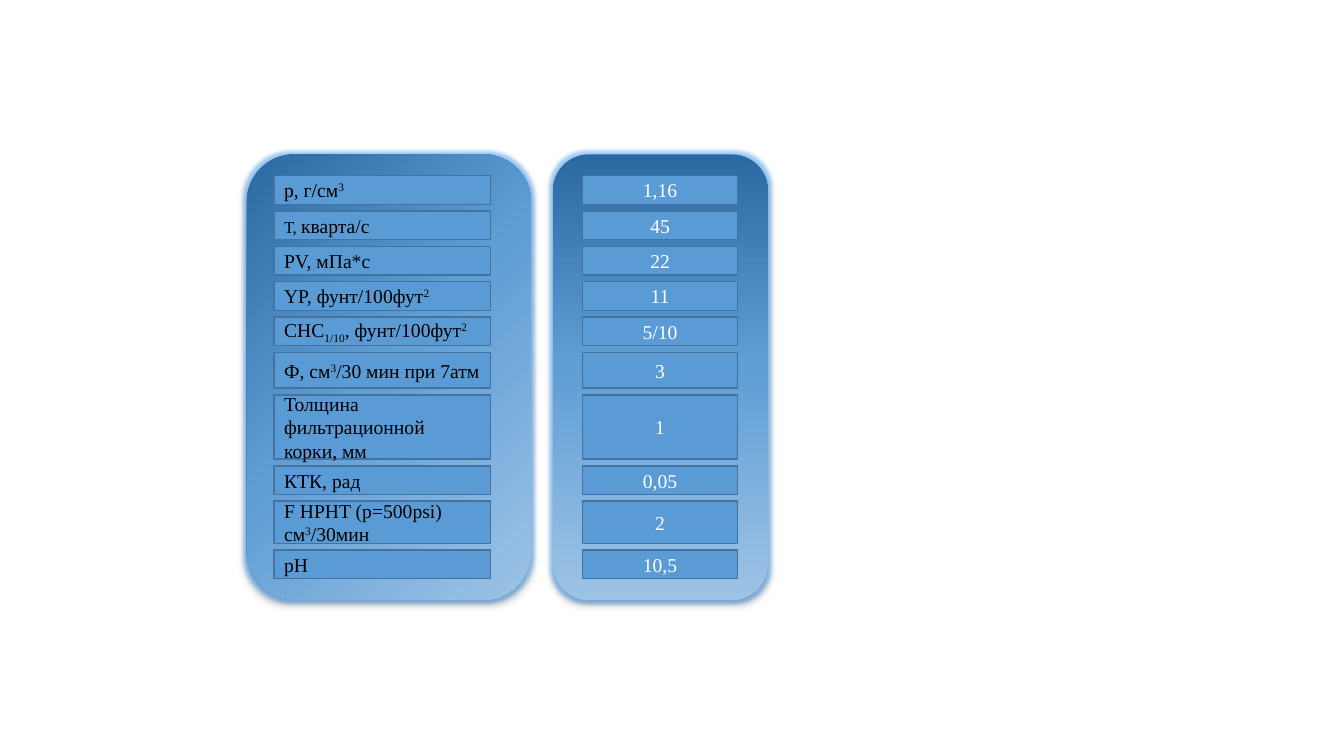
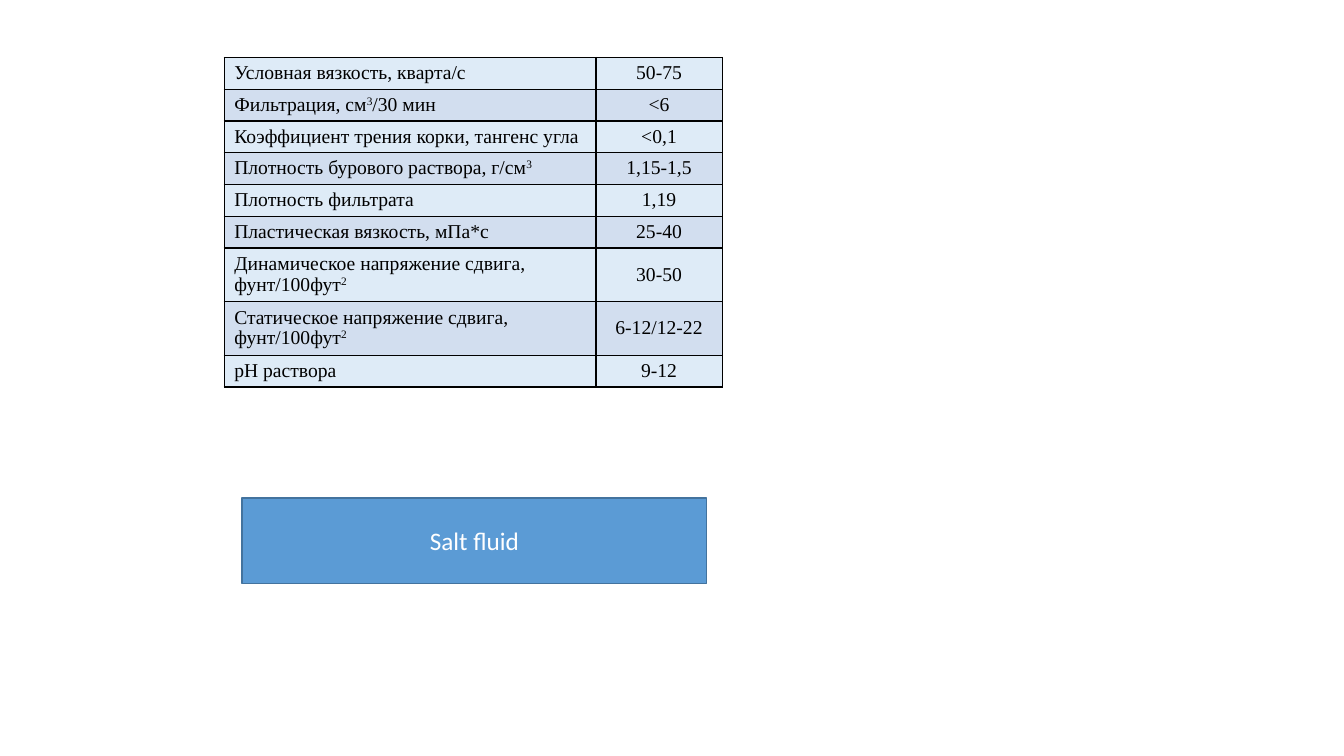
from lxml.etree import SubElement
from pptx import Presentation
from pptx.dml.color import RGBColor
from pptx.enum.shapes import MSO_SHAPE
from pptx.enum.text import MSO_ANCHOR, PP_ALIGN
from pptx.oxml import parse_xml
from pptx.oxml.ns import nsdecls, qn
from pptx.util import Cm, Pt

COLORS = {
    "black": "000000",
    "white": "FFFFFF",
    "box": "5B9BD5",
    "outline": "43739E",
    "panel dark": "2A69A2",
    "panel mid": "609ED6",
    "panel light": "9DC3E6",
    "row light": "DEEBF7",
    "row dark": "D2DEEF",
}
SERIF = "Times New Roman"
# A text piece may start with a mark: raised, lowered or small
BASELINES = {"^": "30000", "_": "-25000"}
SMALL = "~"
SMALL_SIZE = 12


def color(name):
    return RGBColor.from_string(COLORS[name])


def write_text(frame, text, font=SERIF, size=14, ink="black",
               align=PP_ALIGN.LEFT, spacing=None):
    """Write one paragraph; "|" separates its pieces."""
    frame.word_wrap = True
    para = frame.paragraphs[0]
    para.alignment = align
    if spacing:
        para.line_spacing = spacing
    for piece in text.split("|"):
        mark = piece[0]
        marked = mark in BASELINES or mark == SMALL
        span = para.add_run()
        span.text = piece[1:] if marked else piece
        span.font.name = font
        span.font.size = Pt(SMALL_SIZE if mark == SMALL else size)
        span.font.color.rgb = color(ink)
        if mark in BASELINES:
            span.font._element.set("baseline", BASELINES[mark])


class Painter:
    """Holds the deck, its style and the current slide."""

    def __init__(self):
        self.deck = Presentation()
        self.deck.slide_width = Cm(33.87)
        self.deck.slide_height = Cm(19.05)
        self.page = None

    def new_page(self):
        self.page = self.deck.slides.add_slide(self.deck.slide_layouts[6])

    def shape(self, kind, left, top, width, height):
        return self.page.shapes.add_shape(
            kind, Cm(left), Cm(top), Cm(width), Cm(height))

    def panel(self, left, top, width, height, angle):
        """Rounded panel with a three-stop gradient, a glow and a shadow."""
        panel = self.shape(MSO_SHAPE.ROUNDED_RECTANGLE, left, top, width, height)
        panel.line.fill.background()
        stops = ((0, "panel dark"), (48, "panel mid"), (100, "panel light"))
        stop_xml = "".join(
            f'<a:gs pos="{place * 1000}"><a:srgbClr val="{COLORS[name]}"/></a:gs>'
            for place, name in stops)
        gradient = parse_xml(
            f'<a:gradFill {nsdecls("a")} rotWithShape="1"><a:gsLst>{stop_xml}</a:gsLst>'
            f'<a:lin ang="{angle * 60000}" scaled="0"/></a:gradFill>')
        effects = parse_xml(
            f'<a:effectLst {nsdecls("a")}>'
            f'<a:glow rad="{Pt(5)}"><a:srgbClr val="{COLORS["box"]}">'
            '<a:satMod val="175000"/><a:alpha val="40000"/></a:srgbClr></a:glow>'
            f'<a:outerShdw blurRad="{Pt(3.5)}" dist="{Pt(2.2)}" dir="5400000" '
            f'rotWithShape="0"><a:srgbClr val="{COLORS["black"]}">'
            '<a:alpha val="32000"/></a:srgbClr></a:outerShdw></a:effectLst>')
        properties = panel._element.spPr
        properties.find(qn("a:prstGeom")).addnext(gradient)
        properties.append(effects)

    def box(self, left, top, width, height, text, **text_format):
        box = self.shape(MSO_SHAPE.RECTANGLE, left, top, width, height)
        box.shadow.inherit = False
        box.fill.solid()
        box.fill.fore_color.rgb = color("box")
        box.line.color.rgb = color("outline")
        box.line.width = Pt(1)
        box.text_frame.vertical_anchor = MSO_ANCHOR.MIDDLE
        write_text(box.text_frame, text, **text_format)

    def cell(self, cell, text, fill, align):
        cell.vertical_anchor = MSO_ANCHOR.MIDDLE
        properties = cell._tc.get_or_add_tcPr()
        for side in ("lnL", "lnR", "lnT", "lnB"):
            border = SubElement(properties, qn(f"a:{side}"), w=str(Pt(1)))
            solid = SubElement(border, qn("a:solidFill"))
            SubElement(solid, qn("a:srgbClr"), val=COLORS["black"])
        cell.fill.solid()
        cell.fill.fore_color.rgb = color(fill)
        write_text(cell.text_frame, text, align=align, spacing=0.95)

    def table(self, left, top, widths, rows):
        """Rows hold a height, a label and a value."""
        frame = self.page.shapes.add_table(
            len(rows), len(widths), Cm(left), Cm(top), Cm(sum(widths)),
            Cm(sum(height for height, *_ in rows)))
        table = frame.table
        table.first_row = table.horz_banding = False
        for column, width in zip(table.columns, widths):
            column.width = Cm(width)
        for index, (height, label, value) in enumerate(rows):
            table.rows[index].height = Cm(height)
            fill = "row dark" if index % 2 else "row light"
            self.cell(table.cell(index, 0), label, fill, PP_ALIGN.LEFT)
            self.cell(table.cell(index, 1), value, fill, PP_ALIGN.CENTER)


# Heights of the boxes and table rows, in centimetres
LINE = 0.72
ROW = 0.8
TALL_ROW = 1.35

MEASUREMENTS = [
    (LINE, "р, г/см|^3", "1,16"),
    (LINE, "~Т, |кварта/с", "45"),
    (LINE, "PV, мПа*с", "22"),
    (LINE, "YP, фунт/100фут|^2", "11"),
    (LINE, "СНС|_1/10|, фунт/100фут|^2", "5/10"),
    (0.9, "Ф, см|^3|/30 мин при 7атм", "3"),
    (1.62, "Толщина фильтрационной корки, мм", "1"),
    (LINE, "КТК, рад", "0,05"),
    (1.06, "F HPHT (р=500psi) см|^3|/30мин", "2"),
    (LINE, "рН", "10,5"),
]

REQUIREMENTS = [
    (ROW, "Условная вязкость, кварта/с", "50-75"),
    (ROW, "Фильтрация, см|^3|/30 мин", "<6"),
    (ROW, "Коэффициент трения корки, тангенс угла", "<0,1"),
    (ROW, "Плотность бурового раствора, г/см|^3", "1,15-1,5"),
    (ROW, "Плотность фильтрата", "1,19"),
    (ROW, "Пластическая вязкость, мПа*с", "25-40"),
    (TALL_ROW, "Динамическое напряжение сдвига, фунт/100фут|^2", "30-50"),
    (TALL_ROW, "Статическое напряжение сдвига, фунт/100фут|^2", "6-12/12-22"),
    (ROW, "рН раствора", "9-12"),
]


def measurements_page(painter):
    painter.new_page()
    # Panels behind the labels and the values
    painter.panel(6.22, 3.89, 7.16, 11.23, angle=45)
    painter.panel(13.94, 3.89, 5.41, 11.23, angle=90)
    # Rows of boxes with an equal gap
    top, gap = 4.43, 0.17
    for height, label, value in MEASUREMENTS:
        painter.box(6.91, top, 5.46, height, label)
        painter.box(14.68, top, 3.91, height, value,
                    ink="white", align=PP_ALIGN.CENTER)
        top += height + gap


def requirements_page(painter):
    painter.new_page()
    painter.table(5.65, 1.45, (9.37, 3.18), REQUIREMENTS)
    # Name of the drilling fluid
    painter.box(6.1, 12.55, 11.71, 2.16, "Salt fluid", font="Calibri",
                size=18, ink="white", align=PP_ALIGN.CENTER)


def main():
    painter = Painter()
    measurements_page(painter)
    requirements_page(painter)
    painter.deck.save("out.pptx")


if __name__ == "__main__":
    main()
